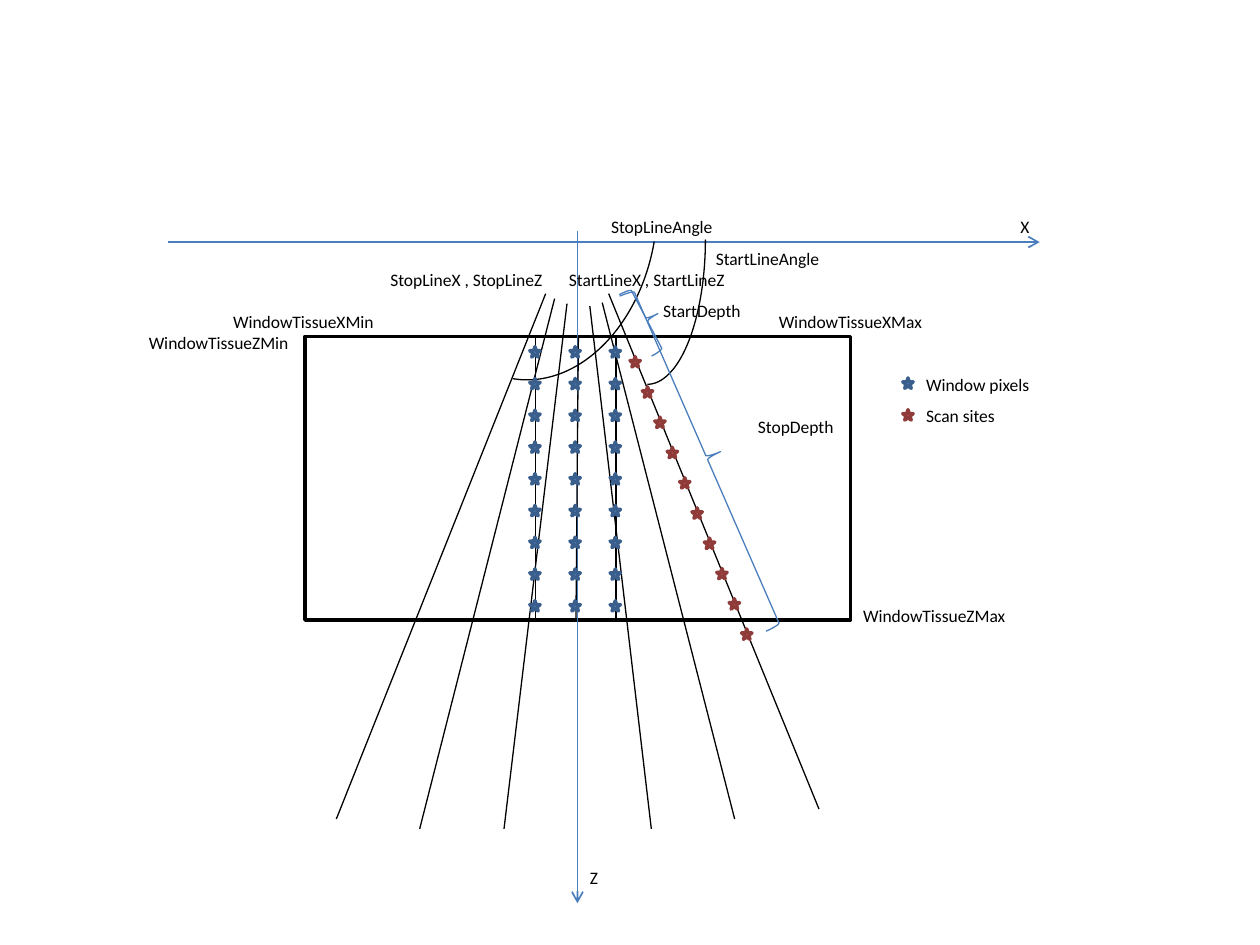
from pptx import Presentation
from pptx.util import Cm, Pt
from pptx.dml.color import RGBColor
from pptx.enum.shapes import MSO_SHAPE as Shape, MSO_CONNECTOR as Link
from pptx.enum.text import MSO_AUTO_SIZE as AutoSize, MSO_ANCHOR as Anchor
from pptx.oxml.ns import qn
from lxml.etree import SubElement

theme = {
    "font": "Calibri", "label": 10,
    "white": "FFFFFF", "ink": "000000", "axis": "4B7EBC",
    "pixel": "4F81BD", "pixel_edge": "3A5F8C",
    "site": "C0504D", "site_edge": "8E3B39",
    "thin": 0.75, "axis_width": 1, "thick": 2,
}

deck = Presentation()
deck.slide_width, deck.slide_height = Cm(25.4), Cm(19.05)
page = deck.slides.add_slide(deck.slide_layouts[6])


def add_figure(kind, left, top, width, height, edge, weight, fill=None, turn=0):
    figure = page.shapes.add_shape(kind, Cm(left), Cm(top), Cm(width), Cm(height))
    figure.shadow.inherit = False
    figure.rotation = turn
    figure.line.color.rgb = RGBColor.from_string(theme[edge])
    figure.line.width = Pt(theme[weight])
    if fill:
        figure.fill.solid()
        figure.fill.fore_color.rgb = RGBColor.from_string(theme[fill])
    else:
        figure.fill.background()
    return figure


def add_line(x1, y1, x2, y2, color="ink", weight="thin", arrow=False):
    line = page.shapes.add_connector(Link.STRAIGHT, Cm(x1), Cm(y1), Cm(x2), Cm(y2))
    line.line.color.rgb = RGBColor.from_string(theme[color])
    line.line.width = Pt(theme[weight])
    if arrow:
        SubElement(line.line._get_or_add_ln(), qn("a:tailEnd"), type="arrow")
    SubElement(line._element.spPr, qn("a:effectLst"))


add_figure(Shape.RECTANGLE, 6.15, 6.78, 11, 5.72, "ink", "thick", "white")

scan_lines = [
    (11, 5.92, 6.78, 16.51),
    (11.18, 6.02, 8.46, 16.71),
    (11.43, 6.12, 10.16, 16.71),
    (11.89, 6.17, 13.13, 16.71),
    (12.14, 6.1, 14.81, 16.51),
    (12.27, 5.92, 16.51, 16.31),
]
for ends in scan_lines:
    add_line(*ends)

for ends in [(11.64, 4.65, 11.64, 18.21), (3.38, 4.88, 20.96, 4.88)]:
    add_line(*ends, "axis", "axis_width", arrow=True)

add_figure(Shape.ARC, 10.13, 3.66, 5.84, 2.34, "ink", "thin", turn=90)
add_figure(Shape.ARC, 7.67, 2.13, 6.4, 4.7, "ink", "thin", turn=99.6)

star_size = 0.21
stars = [(12.7 + 0.25 * step, 7.19 + 0.61 * step, "site") for step in range(10)]
for foot, head in [(10.8, 10.8), (11.61, 11.66), (12.42, 12.42)]:
    add_line(foot, 12.5, head, 6.77)
    stars += [(foot - 0.12, 6.99 + 0.64 * row, "pixel") for row in range(9)]
stars += [(18.2, 7.62, "pixel"), (18.2, 8.26, "site")]
for left, top, kind in stars:
    add_figure(Shape.STAR_5_POINT, left, top, star_size, star_size,
               kind + "_edge", "thick", kind)

labels = [
    ("Z", 11.64, 17.36, 0.69),
    ("X", 20.32, 4.23, 0.71),
    ("StopLineAngle", 12.07, 4.23, 2.59),
    ("StartLineAngle", 14.18, 4.87, 2.62),
    ("StartLineX , StartLineZ", 11.22, 5.29, 3.71),
    ("StopLineX , StopLineZ", 7.62, 5.29, 3.63),
    ("StartDepth", 13.12, 5.92, 2.11),
    ("StopDepth", 15.03, 8.26, 2.06),
    ("WindowTissueXMin", 4.45, 6.14, 3.38),
    ("WindowTissueZMin", 2.75, 6.56, 3.35),
    ("WindowTissueXMax", 15.45, 6.14, 3.43),
    ("WindowTissueZMax", 17.15, 12.07, 3.4),
    ("Window pixels", 18.42, 7.41, 2.62),
    ("Scan sites", 18.42, 8.04, 1.93),
]
for text, left, top, width in labels:
    box = page.shapes.add_textbox(Cm(left), Cm(top), Cm(width), Cm(0.68))
    frame = box.text_frame
    frame.text = text
    frame.word_wrap = False
    frame.auto_size = AutoSize.SHAPE_TO_FIT_TEXT
    frame.vertical_anchor = Anchor.TOP
    span = frame.paragraphs[0].runs[0]
    span.font.name = theme["font"]
    span.font.size = Pt(theme["label"])
    span.font.color.rgb = RGBColor.from_string(theme["ink"])

add_figure(Shape.LEFT_BRACE, 12.78, 5.74, 0.51, 1.4, "axis", "thin", turn=152.3)
stop_brace = add_figure(Shape.LEFT_BRACE, 13.94, 5.54, 0.61, 7.37, "axis", "thin", turn=156.4)
stop_brace.adjustments[0] = 0.08
stop_brace.adjustments[1] = 0.5

deck.save("out.pptx")
